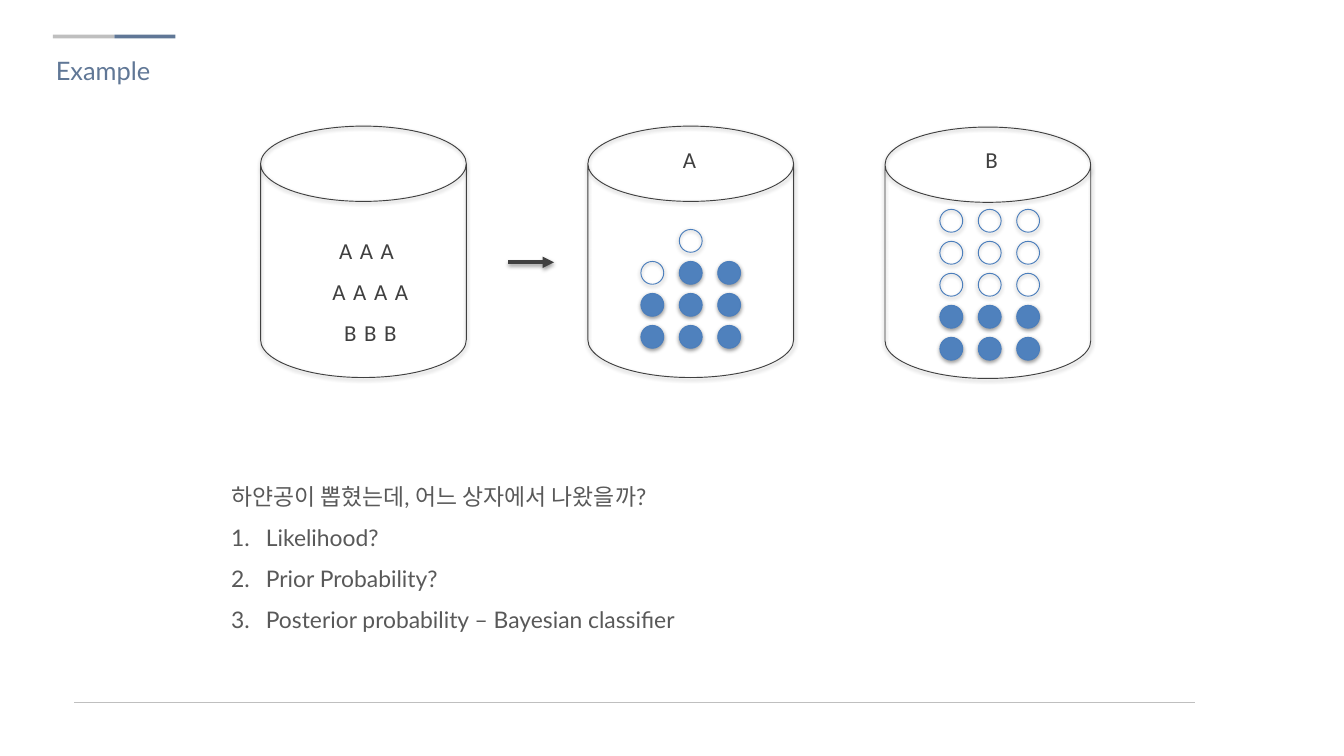
from lxml import etree
from pptx import Presentation
from pptx import util as u
from pptx.dml.color import RGBColor
from pptx.enum import shapes, text
from pptx.oxml import parse_xml
from pptx.oxml.ns import nsdecls, qn

EMU_PER_PX = 9144  # 100 px to the inch
BALL, PITCH_X, PITCH_Y = 25, 42, 35
CANS = [(285, 138), (643, 138), (968, 139)]
# "o" is a white ball, "*" a blue one, "." an empty place
BALLS = [
    (701, 251, [".o.", "o**", "***", "***"]),
    (1028, 229, ["ooo", "ooo", "ooo", "***", "***"]),
]
LABELS = [("A", 737), ("B", 1068)]
QUESTIONS = ["Likelihood?", "Prior Probability?",
             "Posterior probability – Bayesian classifier"]


def px(n):
    return u.Emu(n * EMU_PER_PX)


def rgb(color):
    return RGBColor.from_string(color)


def add_text(tf, content, size=18, font="Calibri", color="404040", align=text.PP_ALIGN.LEFT,
             leading=1.0, spacing=0, numbered=False, first=True):
    """Write one paragraph; a line feed in the content is a line break."""
    p = tf.paragraphs[0] if first else tf.add_paragraph()
    p.alignment, p.line_spacing = align, leading
    for i, line in enumerate(content.split("\n")):
        if i:
            p.add_line_break()
        r = p.add_run()
        r.text = line
        r.font.size, r.font.name = u.Pt(size), font
        r.font.color.rgb = rgb(color)
        if spacing:
            r.font._element.set("spc", str(spacing * 100))
    if numbered:
        pPr = p._p.get_or_add_pPr()
        pPr.set("marL", str(px(38)))
        pPr.set("indent", str(-px(38)))
        etree.SubElement(pPr, qn("a:buAutoNum"), type="arabicPeriod")


class Deck:
    """Holds the presentation, the current slide and its shared style."""
    INK, GRAY, SLATE, BLUE, RIM = "404040", "BFBFBF", "607796", "4F81BD", "4B7EBC"

    def __init__(self, width, height):
        self.prs = Presentation()
        self.prs.slide_width, self.prs.slide_height = px(width), px(height)
        self.s = self.prs.slides.add_slide(self.prs.slide_layouts[5])

    def set_effect(self, sp, shadow):
        """Give the shape a soft shadow straight below, or none."""
        inner = ('<a:outerShdw blurRad="40000" dist="20000" dir="5400000" rotWithShape="0">'
                 '<a:srgbClr val="000000"><a:alpha val="38000"/></a:srgbClr>'
                 '</a:outerShdw>') if shadow else ""
        sp._element.spPr.append(
            parse_xml(f'<a:effectLst {nsdecls("a")}>{inner}</a:effectLst>'))

    def shape(self, kind, x, y, w, h, fill=None, line=None, shadow=False):
        sp = self.s.shapes.add_shape(kind, px(x), px(y), px(w), px(h))
        if fill:
            sp.fill.solid()
            sp.fill.fore_color.rgb = rgb(fill)
        else:
            sp.fill.background()
        if line:
            sp.line.color.rgb = rgb(line)
            sp.line.width = u.Pt(0.75)
        else:
            sp.line.fill.background()
        self.set_effect(sp, shadow)
        return sp

    def can(self, x, y):
        sp = self.shape(shapes.MSO_SHAPE.CAN, x, y, 225, 275, line=self.INK, shadow=True)
        sp.adjustments[0] = 0.366

    def balls(self, x, y, rows):
        for i, row in enumerate(rows):
            for j, mark in enumerate(row):
                if mark != ".":
                    self.shape(shapes.MSO_SHAPE.OVAL, x + j * PITCH_X, y + i * PITCH_Y,
                               BALL, BALL, fill=self.BLUE if mark == "*" else None,
                               line=self.RIM, shadow=True)

    def line(self, x1, x2, y, color, width, arrow=False):
        cn = self.s.shapes.add_connector(shapes.MSO_CONNECTOR.STRAIGHT,
                                         px(x1), px(y), px(x2), px(y))
        cn.line.color.rgb = rgb(color)
        cn.line.width = u.Pt(width)
        if arrow:
            etree.SubElement(cn.line._get_or_add_ln(), qn("a:tailEnd"), type="triangle")
        self.set_effect(cn, arrow)

    def title(self, content, x, y, w, h):
        sp = self.s.shapes.title
        sp.left, sp.top, sp.width, sp.height = px(x), px(y), px(w), px(h)
        tf = sp.text_frame
        tf.auto_size = text.MSO_AUTO_SIZE.NONE
        tf.vertical_anchor = text.MSO_ANCHOR.TOP
        add_text(tf, content, size=20, font="Lato", color=self.SLATE)

    def text_box(self, x, y, w, h, wrap=True):
        tf = self.s.shapes.add_textbox(px(x), px(y), px(w), px(h)).text_frame
        tf.word_wrap = wrap
        return tf


def main():
    deck = Deck(1470, 827)
    deck.line(81, 1307, 769, deck.GRAY, 0.75)
    for x, color in ((58, deck.GRAY), (125, deck.SLATE)):
        deck.shape(shapes.MSO_SHAPE.RECTANGLE, x, 38, 67, 4, fill=color)
    deck.title("Example", 51, 55, 167, 44)

    for x, y in CANS:
        deck.can(x, y)
    tf = deck.text_box(349, 239, 112, 146, wrap=False)
    for i, letters in enumerate(["AAA\nAAAA", "BBB"]):
        add_text(tf, letters, align=text.PP_ALIGN.CENTER, leading=1.5, spacing=6, first=i == 0)

    for x, y, rows in BALLS:
        deck.balls(x, y, rows)
    for label, x in LABELS:
        add_text(deck.text_box(x, 154, 42, 40), label)

    body = dict(font="Lato", color="595959", leading=1.5)
    tf = deck.text_box(243, 508, 826, 234)
    add_text(tf, "하얀공이 뽑혔는데, 어느 상자에서 나왔을까?", **body)
    for question in QUESTIONS:
        add_text(tf, question, numbered=True, first=False, **body)

    deck.line(556, 606, 287, deck.INK, 3, arrow=True)
    deck.prs.save("out.pptx")


if __name__ == "__main__":
    main()
